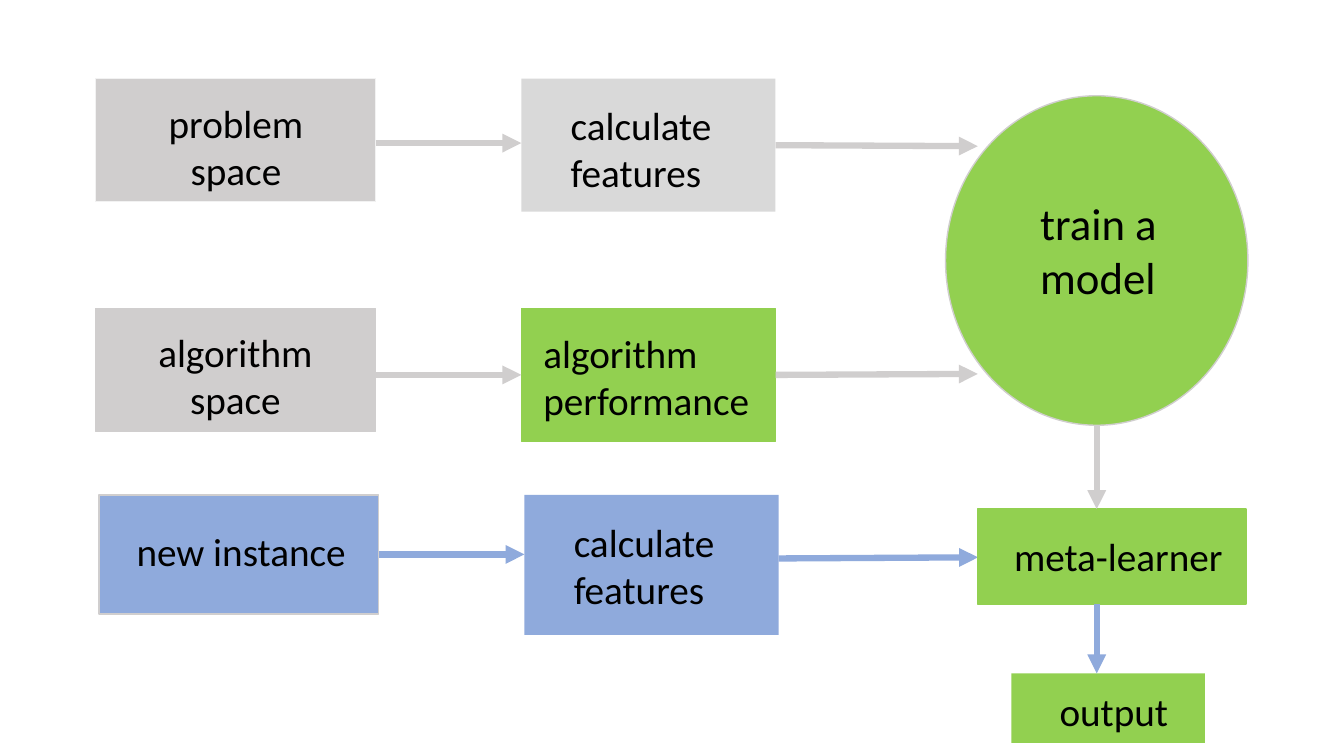
import collections
import pptx
import pptx.util
import pptx.dml.color
import pptx.enum.shapes
import pptx.enum.text
import pptx.oxml
import pptx.oxml.ns

Pt = pptx.util.Pt
RGBColor = pptx.dml.color.RGBColor
Shapes = pptx.enum.shapes.MSO_SHAPE
Align = pptx.enum.text.PP_ALIGN

GREY = RGBColor(0xD0, 0xCE, 0xCE)
LIGHT_GREY = RGBColor(0xD9, 0xD9, 0xD9)
PALE_GREY = RGBColor(0xF2, 0xF2, 0xF2)
GREEN = RGBColor(0x92, 0xD0, 0x50)
BLUE = RGBColor(0x8F, 0xAA, 0xDC)
BLACK = RGBColor(0, 0, 0)

Box = collections.namedtuple("Box", "left top width height")
Node = collections.namedtuple("Node", "text fill line insets height")
SOURCE_WIDTH = 200
RESULT_LEFT = 304
RESULT_WIDTH = 181.6


def add_node(page, box, text, fill, line, insets, align=Align.LEFT,
             kind=Shapes.RECTANGLE, size=28):
    node = page.shapes.add_shape(kind, *map(Pt, box))
    node.shadow.inherit = False
    node.fill.solid()
    node.fill.fore_color.rgb = fill
    if line is None:
        node.line.fill.background()
    else:
        node.line.color.rgb = line
        node.line.width = Pt(1)
    frame = node.text_frame
    frame.word_wrap = True
    frame.vertical_anchor = pptx.enum.text.MSO_ANCHOR.TOP
    frame.margin_left, frame.margin_top, frame.margin_right = map(Pt, insets)
    frame.margin_bottom = Pt(0)
    frame.text = text
    para = frame.paragraphs[0]
    para.alignment = align
    span = para.runs[0]
    span.font.name = "Calibri"
    span.font.size = Pt(size)
    span.font.color.rgb = BLACK


def add_arrow(page, start, end, color):
    arrow = page.shapes.add_connector(
        pptx.enum.shapes.MSO_CONNECTOR.STRAIGHT, *map(Pt, start + end))
    arrow.line.color.rgb = color
    arrow.line.width = Pt(4.5)
    line = arrow.line._get_or_add_ln()
    head = pptx.oxml.parse_xml(
        f'<a:tailEnd {pptx.oxml.ns.nsdecls("a")} type="triangle"/>')
    line.append(head)
    effects = pptx.oxml.parse_xml(
        f'<a:effectLst {pptx.oxml.ns.nsdecls("a")}/>')
    line.addnext(effects)


def add_row(page, box, source, result, color, levels):
    left, top, width, height = box
    result_left = left + RESULT_LEFT
    add_node(page, Box(left, top, SOURCE_WIDTH, source.height),
             source.text, source.fill, source.line, source.insets, Align.CENTER)
    add_node(page, Box(result_left, top, RESULT_WIDTH, height),
             result.text, result.fill, result.line, result.insets)
    first, start, end = (top + level for level in levels)
    add_arrow(page, (left + SOURCE_WIDTH, first), (result_left, first), color)
    add_arrow(page, (result_left + RESULT_WIDTH, start),
              (left + width, end), color)


def add_learning_column(page, box):
    left, top, width, height = box
    middle = left + width / 2
    model = Box(left, top, width, 235.4)
    learner = Box(left + 23, top + 295.2, 191.6, 67.8)
    output = Box(left + 47, top + height - 49.6, 138.2, 49.6)
    add_node(page, model, "train a model", GREEN, GREY, (36, 36.8, 0),
             kind=Shapes.OVAL, size=32)
    add_node(page, learner, "meta-learner", GREEN, GREEN, (25.9, 16.6, 7))
    add_node(page, output, "output", GREEN, None, (34.4, 10, 7))
    for above, below, color in ((model, learner, GREY), (learner, output, BLUE)):
        add_arrow(page, (middle, above.top + above.height),
                  (middle, below.top), color)


deck = pptx.Presentation()
deck.slide_width, deck.slide_height = Pt(960), Pt(540)
page = deck.slides.add_slide(deck.slide_layouts[6])

add_row(page, Box(68.4, 56.2, 630, 95),
        Node("problem space", GREY, PALE_GREY, (35.3, 14.4, 35), 88),
        Node("calculate features", LIGHT_GREY, None, (35.3, 15.8, 7), 95),
        GREY, (46, 47.5, 48.2))
add_row(page, Box(68.4, 220.3, 630, 95),
        Node("algorithm space", GREY, GREY, (27.4, 14.4, 28), 88),
        Node("algorithm performance", GREEN, GREEN, (15.8, 15.1, 16), 95),
        GREY, (47.5, 47.5, 46.8))
add_row(page, Box(70.6, 353.5, 628, 100),
        Node("new instance", BLUE, GREY, (25.2, 23, 22), 85),
        Node("calculate features", BLUE, None, (35.3, 16.6, 7), 100),
        BLUE, (42.5, 45.4, 44.6))
add_learning_column(page, Box(675.4, 68.4, 216, 462.2))

deck.save("out.pptx")
